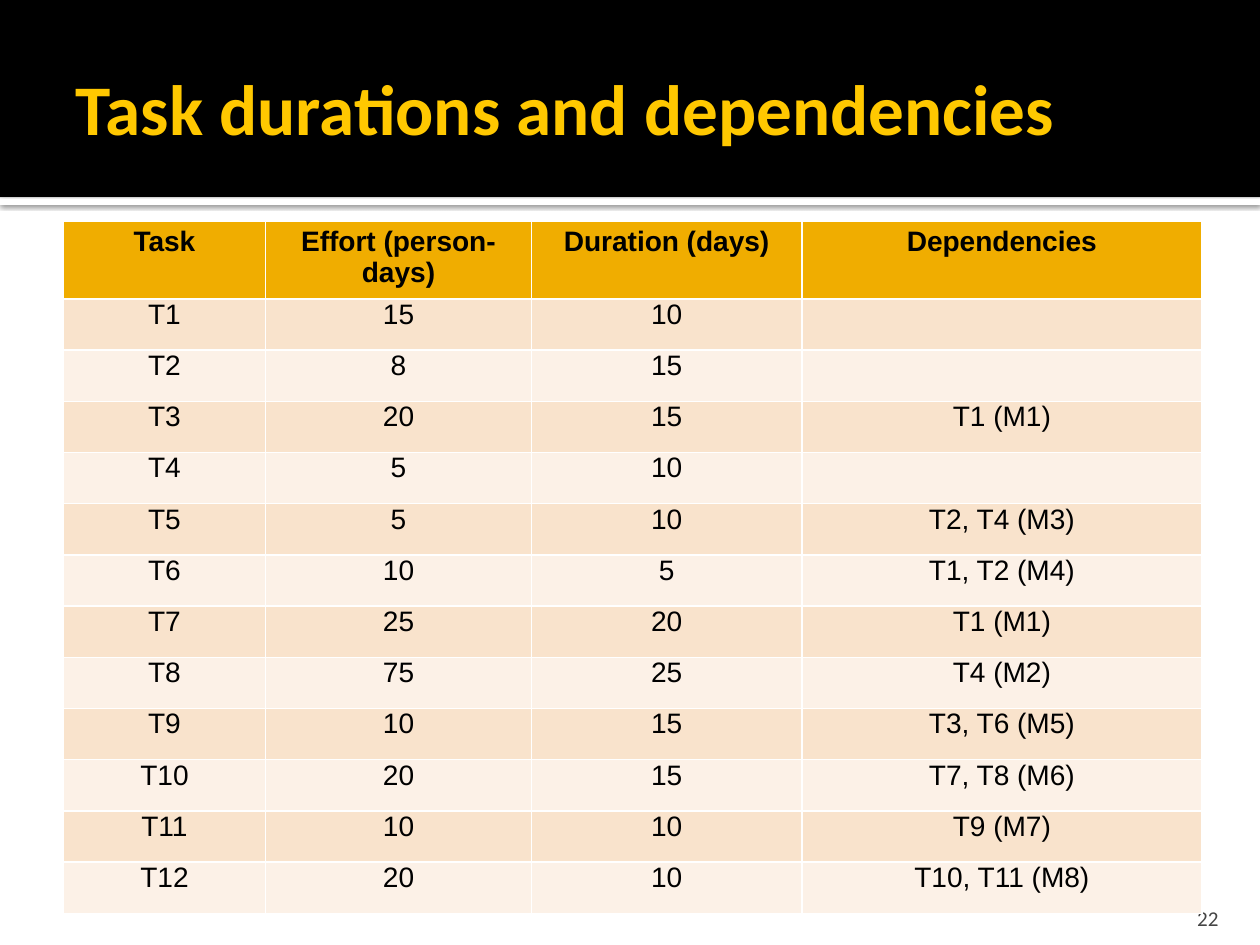
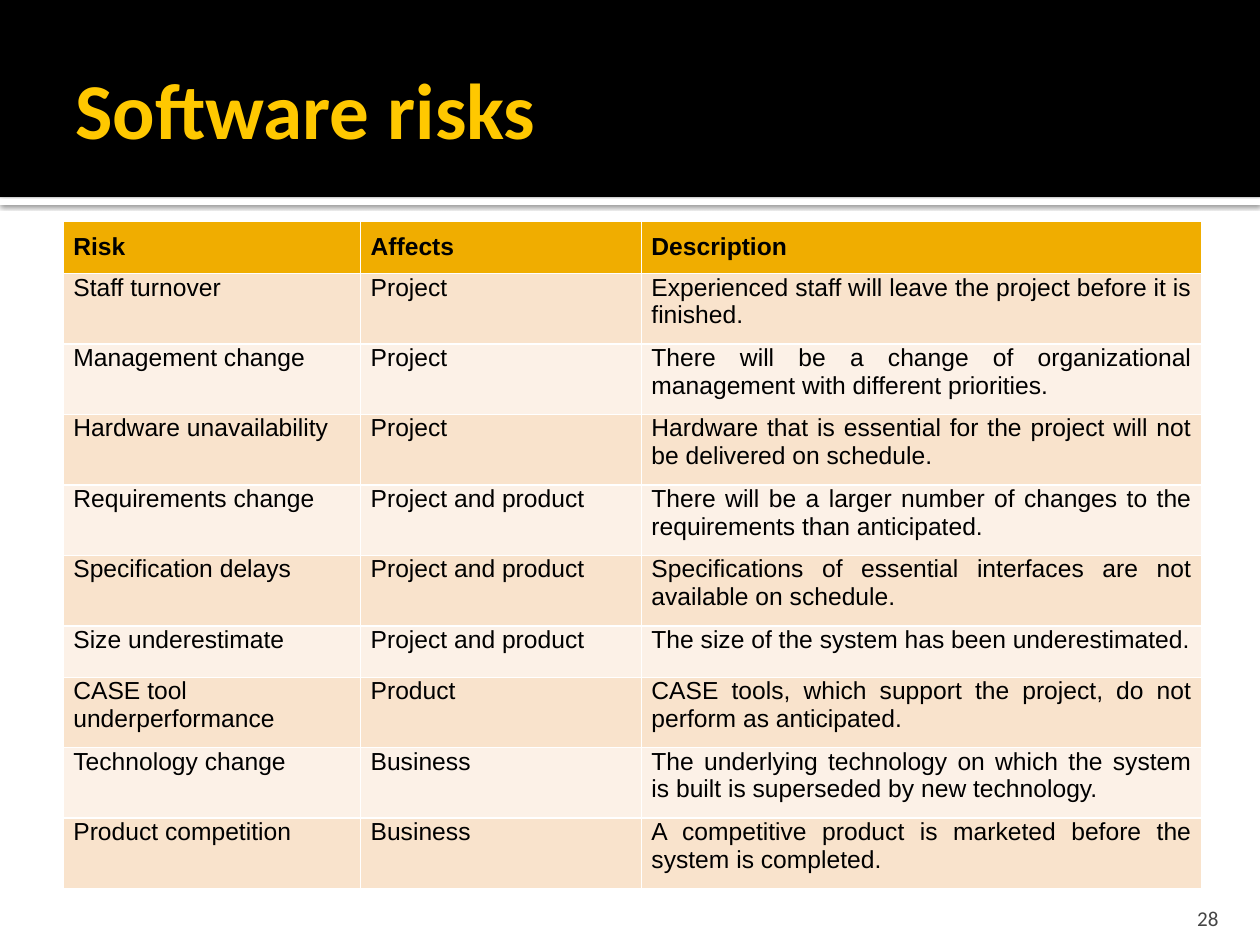
"""Build two project-planning slides, each with a banner and a table."""
from lxml import etree
from pptx import Presentation
from pptx.dml.color import RGBColor
from pptx.enum.shapes import MSO_SHAPE
from pptx.enum.text import MSO_ANCHOR, PP_ALIGN
from pptx.oxml import parse_xml
from pptx.util import Inches, Pt

RECT = MSO_SHAPE.RECTANGLE
MIDDLE, BOTTOM = MSO_ANCHOR.MIDDLE, MSO_ANCHOR.BOTTOM
LEFT, RIGHT = PP_ALIGN.LEFT, PP_ALIGN.RIGHT
CENTER, JUST = PP_ALIGN.CENTER, PP_ALIGN.JUSTIFY

WIDE, HIGH = 9.96, 7.47
EDGE, TOP, SPAN = 0.5, 1.75, 9
BAND = 1.56
ROW = 4.86 / 12
BLACK, WHITE, GOLD, GREY = "000000", "FFFFFF", "FFC800", "454545"
HEAD, STRIPES = "F0AD00", ("FCF1E7", "F9E3CC")
NS = "http://schemas.openxmlformats.org/drawingml/2006/main"
SHADOW = (
    f'<a:effectLst xmlns:a="{NS}">'
    f'<a:outerShdw blurRad="{Pt(2.5)}" dist="{Pt(0.8)}" dir="5400000">'
    f'<a:srgbClr val="{BLACK}"><a:alpha val="60000"/></a:srgbClr>'
    "</a:outerShdw></a:effectLst>"
)

TASKS = [
    ("Task", "Effort (person-days)", "Duration (days)", "Dependencies"),
    ("T1", "15", "10", ""),
    ("T2", "8", "15", ""),
    ("T3", "20", "15", "T1 (M1)"),
    ("T4", "5", "10", ""),
    ("T5", "5", "10", "T2, T4 (M3)"),
    ("T6", "10", "5", "T1, T2 (M4)"),
    ("T7", "25", "20", "T1 (M1)"),
    ("T8", "75", "25", "T4 (M2)"),
    ("T9", "10", "15", "T3, T6 (M5)"),
    ("T10", "20", "15", "T7, T8 (M6)"),
    ("T11", "10", "10", "T9 (M7)"),
    ("T12", "20", "10", "T10, T11 (M8)"),
]
RISKS = [
    ("Risk", "Affects", "Description"),
    ("Staff turnover", "Project",
     "Experienced staff will leave the project before it is finished."),
    ("Management change", "Project",
     "There will be a change of organizational management with different priorities."),
    ("Hardware unavailability", "Project",
     "Hardware that is essential for the project will not be delivered on schedule."),
    ("Requirements change", "Project and product",
     "There will be a larger number of changes to the requirements than anticipated."),
    ("Specification delays", "Project and product",
     "Specifications of essential interfaces are not available on schedule."),
    ("Size underestimate", "Project and product",
     "The size of the system has been underestimated."),
    ("CASE tool underperformance", "Product",
     "CASE tools, which support the project, do not perform as anticipated."),
    ("Technology change", "Business",
     "The underlying technology on which the system is built is superseded by new technology."),
    ("Product competition", "Business",
     "A competitive product is marketed before the system is completed."),
]
PAGES = [
    {"title": "Task durations and dependencies", "size": 40.5, "num": "22",
     "rows": TASKS, "cols": (1.6, 2.1, 2.14, 3.16), "font": 16,
     "side": 0.06, "pad": 0.04, "head": CENTER, "body": (CENTER,) * 4},
    {"title": "Software risks", "size": 45, "num": "28",
     "rows": RISKS, "cols": (2.35, 2.22, 4.43), "font": 14,
     "side": 0.08, "pad": 0.09, "head": JUST, "body": (LEFT, LEFT, JUST)},
]


def paint(color, tone):
    """Set a colour format from a hex string."""
    color.rgb = RGBColor.from_string(tone)


def write(frame, text, face, size, tone, bold, align):
    """Add one styled run to the first paragraph of a frame."""
    para = frame.paragraphs[0]
    para.alignment = align
    run = para.add_run()
    run.text = text
    run.font.name, run.font.size, run.font.bold = face, Pt(size), bold
    paint(run.font.color, tone)


deck = Presentation()
deck.slide_width, deck.slide_height = Inches(WIDE), Inches(HIGH)

for page in PAGES:
    slide = deck.slides.add_slide(deck.slide_layouts[6])
    shapes = slide.shapes

    for top, tall, tone in ((BAND + 0.01, 0.05, WHITE), (0, BAND, BLACK)):
        band = shapes.add_shape(RECT, 0, Inches(top), Inches(WIDE), Inches(tall))
        band.fill.solid()
        paint(band.fill.fore_color, tone)
        band.line.fill.background()
        if tone == WHITE:
            band.element.spPr.append(parse_xml(SHADOW))
        else:
            band.shadow.inherit = False

    labels = (
        ((EDGE, 0.17, WIDE - 2 * EDGE, 1.36), MIDDLE, 0.05,
         page["title"], page["size"], GOLD, True, LEFT),
        ((8.93, 7.06, 0.8, 0.3), BOTTOM, 0,
         page["num"], 12, GREY, False, RIGHT),
    )
    for place, anchor, foot, text, size, tone, bold, align in labels:
        frame = shapes.add_textbox(*map(Inches, place)).text_frame
        frame.word_wrap = True
        frame.vertical_anchor = anchor
        frame.margin_bottom = Inches(foot)
        write(frame, text, "Calibri", size, tone, bold, align)

    rows, cols = page["rows"], page["cols"]
    table = shapes.add_table(
        len(rows), len(cols), Inches(EDGE), Inches(TOP),
        Inches(SPAN), Inches(ROW * len(rows))).table
    for col, width in zip(table.columns, cols):
        col.width = Inches(width)
    for r, row in enumerate(rows):
        table.rows[r].height = Inches(ROW)
        for c, text in enumerate(row):
            cell = table.cell(r, c)
            cell.margin_left = cell.margin_right = Inches(page["side"])
            cell.margin_top = Inches(0 if r else page["pad"])
            cell.margin_bottom = Inches(page["pad"])
            props = cell._tc.get_or_add_tcPr()
            for side in "LRTB":
                edge = etree.SubElement(props, f"{{{NS}}}ln{side}", w=str(Pt(1)))
                fill = etree.SubElement(edge, f"{{{NS}}}solidFill")
                etree.SubElement(fill, f"{{{NS}}}srgbClr", val=WHITE)
            cell.fill.solid()
            paint(cell.fill.fore_color, STRIPES[r % 2] if r else HEAD)
            if text:
                align = page["body"][c] if r else page["head"]
                write(cell.text_frame, text, "Arial", page["font"], BLACK, r == 0, align)

deck.save("out.pptx")
